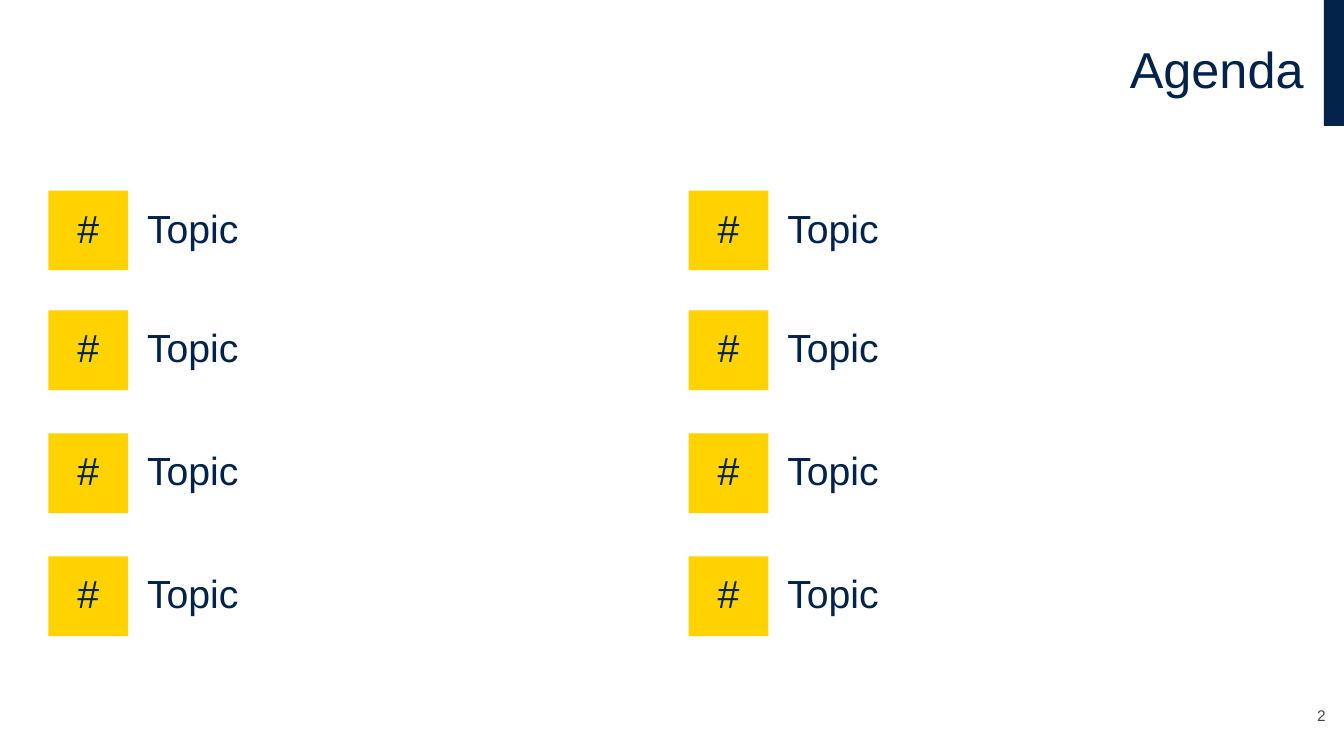
from pptx import Presentation
from pptx.dml.color import RGBColor
from pptx.enum.shapes import MSO_SHAPE as SHAPE
from pptx.enum.text import MSO_ANCHOR as ANCHOR, MSO_AUTO_SIZE as AUTO, PP_ALIGN as ALIGN
from pptx.util import Inches, Pt

# Content
TITLE = "Agenda"
PAGE = "2"
COLUMNS = [
    [("#", "Topic"), ("#", "Topic"), ("#", "Topic"), ("#", "Topic")],
    [("#", "Topic"), ("#", "Topic"), ("#", "Topic"), ("#", "Topic")],
]

# Style and layout, in inches
COLORS = {"navy": "03234B", "yellow": "FFD200", "gray": "464650"}
FONT = "Arial"
COLUMN_LEFTS = (0.48, 6.83)
ROW_TOPS = (1.89, 3.08, 4.3, 5.52)
BOX = 0.79
TOPIC_OFFSET, TOPIC_WIDTH = 0.88, 5.19


def color(name):
    return RGBColor.from_string(COLORS[name])


def set_text(sp, text, size=28, fill="navy", align=ALIGN.LEFT, anchor=ANCHOR.MIDDLE,
             insets=(0.1, 0.05), spacing=0.9, before=0):
    tf = sp.text_frame
    tf.word_wrap = True
    tf.auto_size = AUTO.NONE
    tf.vertical_anchor = anchor
    tf.margin_left = tf.margin_right = Inches(insets[0])
    tf.margin_top = tf.margin_bottom = Inches(insets[1])
    p = tf.paragraphs[0]
    p.alignment, p.line_spacing, p.space_before = align, spacing, Pt(before)
    r = p.add_run()
    r.text = text
    r.font.name, r.font.size = FONT, Pt(size)
    r.font.color.rgb = color(fill)


def add_box(left, top, width, height, fill):
    sp = slide.shapes.add_shape(SHAPE.RECTANGLE, *map(Inches, (left, top, width, height)))
    sp.shadow.inherit = False
    sp.fill.solid()
    sp.fill.fore_color.rgb = color(fill)
    sp.line.fill.background()
    return sp


def add_label(left, top, width, height, text, **style):
    sp = slide.shapes.add_textbox(*map(Inches, (left, top, width, height)))
    set_text(sp, text, **style)


prs = Presentation()
prs.slide_width, prs.slide_height = Inches(13.33), Inches(7.5)
slide = prs.slides.add_slide(prs.slide_layouts[5])

# Title and corner bar
add_box(13.13, 0, 0.2, 1.25, "navy")
title = slide.shapes.title
title.left, title.top, title.width, title.height = map(Inches, (0.33, 0, 12.7, 1.43))
set_text(title, TITLE, size=36, align=ALIGN.RIGHT)

# Agenda grid
for left, topics in zip(COLUMN_LEFTS, COLUMNS):
    for top, (number, topic) in zip(ROW_TOPS, topics):
        sp = add_box(left, top, BOX, BOX, "yellow")
        set_text(sp, number, align=ALIGN.CENTER, insets=(0, 0), before=10)
        add_label(left + TOPIC_OFFSET, top, TOPIC_WIDTH, BOX, topic)

# Page number
add_label(12.7, 6.92, 0.45, 0.32, PAGE, size=11, fill="gray", align=ALIGN.RIGHT,
          anchor=ANCHOR.BOTTOM, insets=(0, 0.05), spacing=1.0)

prs.save("out.pptx")
